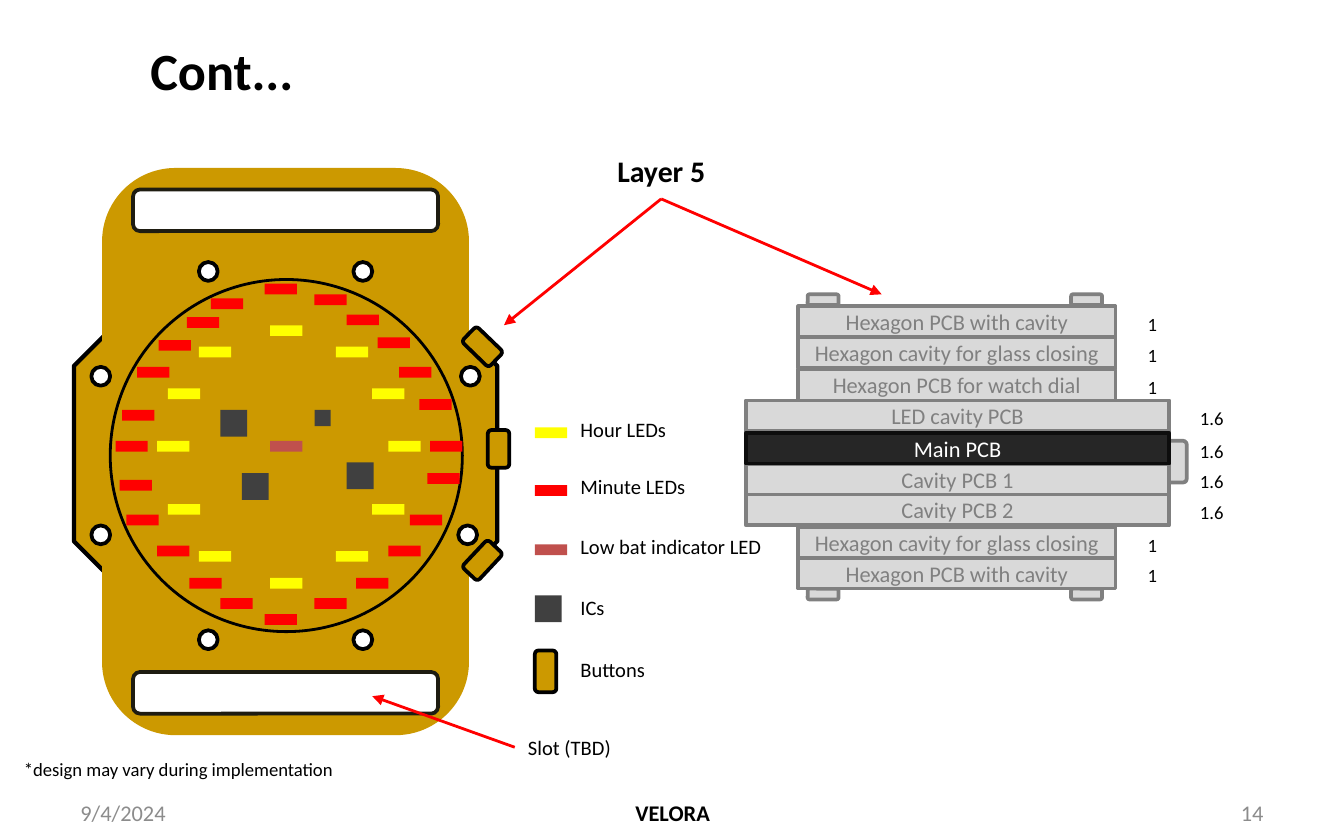
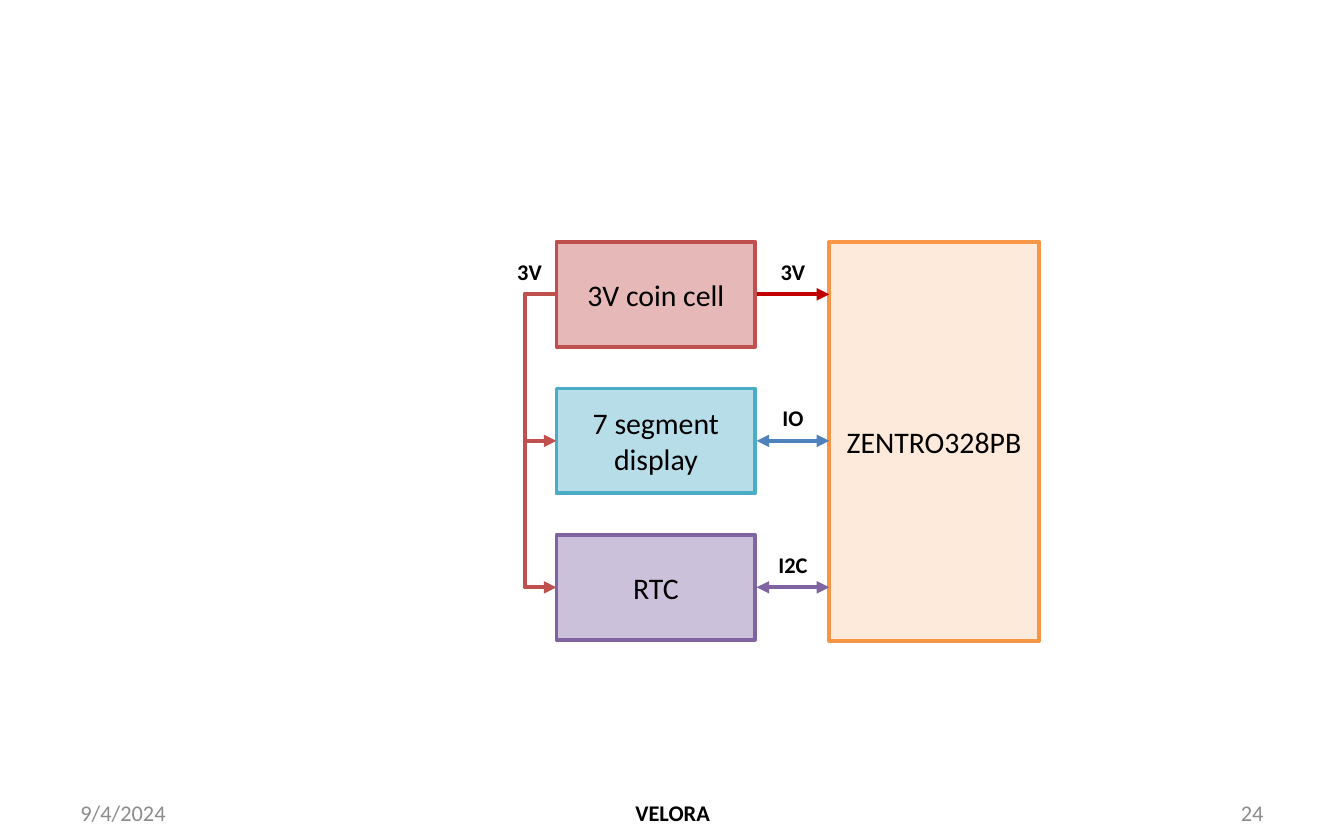
from lxml import etree
from pptx import Presentation
from pptx import util as u
from pptx.dml.color import RGBColor
from pptx.enum import shapes, text
from pptx.oxml.ns import qn

PX = 9144
FONT = "Calibri"
BLACK, WHITE, RED = "000000", "FFFFFF", "FF0000"
GOLD, YELLOW, BRICK, CHIP = "CC9900", "FFFF00", "C0504D", "404040"
PALE, GREY, MUTED, SLOT_EDGE = "D9D9D9", "808080", "8C8C8C", "1E1C11"
RECT = shapes.MSO_SHAPE.RECTANGLE
ROUND = shapes.MSO_SHAPE.ROUNDED_RECTANGLE
OVAL = shapes.MSO_SHAPE.OVAL
OCTAGON = shapes.MSO_SHAPE.OCTAGON
LEFT, CENTER, RIGHT = text.PP_ALIGN.LEFT, text.PP_ALIGN.CENTER, text.PP_ALIGN.RIGHT
TOP, MIDDLE = text.MSO_ANCHOR.TOP, text.MSO_ANCHOR.MIDDLE

MINUTE_LEDS = [
    (197, 211), (234, 219), (258, 234), (281, 251), (297, 273), (312, 297),
    (320, 328), (318, 352), (305, 383), (289, 406), (265, 430), (234, 445),
    (197, 457), (164, 445), (141, 430), (117, 406), (94, 383), (89, 357),
    (86, 328), (91, 305), (102, 273), (118, 253), (139, 236), (157, 222),
]
HOUR_LEDS = [
    (201, 242), (250, 258), (277, 289), (289, 328), (277, 375), (250, 410),
    (201, 430), (148, 410), (125, 375), (117, 328), (125, 289), (148, 258),
]
CHIPS = [(234, 305, 12), (258, 344, 20), (180, 352, 20), (164, 305, 20)]
SCREWS = [
    (263, 195), (148, 195), (68, 273), (68, 391),
    (148, 469), (263, 469), (341, 391), (343, 273),
]
BUTTONS = [(351, 244, 314), (363, 320, 0), (351, 403, 43.2)]
LAYERS = [
    ("Hexagon PCB with cavity", "1"),
    ("Hexagon cavity for glass closing", "1"),
    ("Hexagon PCB for watch dial", "1"),
    ("LED cavity PCB", "1.6"),
    ("Main PCB", "1.6"),
    ("Cavity PCB 1", "1.6"),
    ("Cavity PCB 2", "1.6"),
    ("Hexagon cavity for glass closing", "1"),
    ("Hexagon PCB with cavity", "1"),
]


def rgb(value):
    return RGBColor.from_string(value)


class Deck:
    """Holds the deck style and draws elements on the current slide."""

    def __init__(self, width, height):
        self.presentation = Presentation()
        self.presentation.slide_width = width * PX
        self.presentation.slide_height = height * PX
        self.slide = None

    def new_slide(self, number):
        layout = self.presentation.slide_layouts[6]
        self.slide = self.presentation.slides.add_slide(layout)
        self.label("9/4/2024", 50, 588, 233, 33, 12, MUTED, anchor=MIDDLE)
        self.label("VELORA", 342, 588, 317, 33, 12, bold=True, align=CENTER, anchor=MIDDLE)
        self.label(number, 717, 588, 233, 33, 12, MUTED, align=RIGHT, anchor=MIDDLE)

    def set_words(self, shape, words, size, color, bold, align, anchor):
        frame = shape.text_frame
        frame.text = words
        frame.word_wrap = True
        frame.vertical_anchor = anchor
        paragraph = frame.paragraphs[0]
        paragraph.alignment = align
        for run in paragraph.runs:
            run.font.name = FONT
            run.font.size = u.Pt(size)
            run.font.bold = bold
            run.font.color.rgb = rgb(color)

    def label(self, words, x, y, width, height, size, color=BLACK, bold=False,
              align=LEFT, anchor=TOP):
        box = self.slide.shapes.add_textbox(x * PX, y * PX, width * PX, height * PX)
        self.set_words(box, words, size, color, bold, align, anchor)

    def block(self, kind, x, y, width, height, fill, line=None, weight=2, turn=0):
        shape = self.slide.shapes.add_shape(kind, x * PX, y * PX, width * PX, height * PX)
        shape.shadow.inherit = False
        shape.rotation = turn
        shape.fill.solid()
        shape.fill.fore_color.rgb = rgb(fill)
        if line:
            shape.line.color.rgb = rgb(line)
            shape.line.width = u.Pt(weight)
        else:
            shape.line.fill.background()
        return shape

    def box(self, words, x, y, width, height, fill, line, size, color=BLACK):
        shape = self.block(RECT, x, y, width, height, fill, line)
        self.set_words(shape, words, size, color, False, CENTER, MIDDLE)

    def arrow(self, start, end, color, weight, both=False, kind=shapes.MSO_CONNECTOR.STRAIGHT):
        points = [length * PX for length in (*start, *end)]
        connector = self.slide.shapes.add_connector(kind, *points)
        connector.line.color.rgb = rgb(color)
        connector.line.width = u.Pt(weight)
        properties = connector.element.spPr
        line = properties.find(qn("a:ln"))
        for tip in ("a:headEnd", "a:tailEnd") if both else ("a:tailEnd",):
            etree.SubElement(line, qn(tip), type="triangle")
        etree.SubElement(properties, qn("a:effectLst"))
        return connector

    def side_arrow(self, x, top, bottom, reach, color, weight):
        connector = self.arrow((x + 1, top), (x, bottom), color, weight,
                               kind=shapes.MSO_CONNECTOR.ELBOW)
        geometry = connector.element.spPr.find(qn("a:prstGeom"))
        guides = geometry.find(qn("a:avLst"))
        if guides is None:
            guides = etree.SubElement(geometry, qn("a:avLst"))
        etree.SubElement(guides, qn("a:gd"), name="adj1", fmla=f"val {reach * 100000}")

    def led(self, x, y, color):
        self.block(RECT, x, y, 24, 8, color)


def draw_watch(deck):
    deck.block(OCTAGON, 55, 180, 315, 315, GOLD, BLACK, 2.25)
    body = deck.block(ROUND, 76, 125, 273, 422, GOLD)
    body.adjustments[0] = 0.2
    for y in (141, 500):
        deck.block(ROUND, 99, y, 227, 31, WHITE, SLOT_EDGE)
    deck.block(OVAL, 82, 208, 262, 262, GOLD, BLACK, 1.5)
    for leds, color in ((MINUTE_LEDS, RED), (HOUR_LEDS, YELLOW), ([(201, 328)], BRICK)):
        for x, y in leds:
            deck.led(x, y, color)
    for x, y, side in CHIPS:
        deck.block(RECT, x, y, side, side, CHIP)
    for x, y in SCREWS:
        deck.block(OVAL, x, y, 14, 14, WHITE, BLACK)
    for x, y, turn in BUTTONS:
        deck.block(ROUND, x, y, 16, 28, GOLD, BLACK, turn=turn)


def draw_legend(deck):
    entries = [("Hour LEDs", 305), ("Minute LEDs", 348), ("Low bat indicator LED", 392),
               ("ICs", 438), ("Buttons", 484)]
    for words, y in entries:
        deck.label(words, 422, y, 164, 29, 11)
    for y, color in ((318, YELLOW), (361, RED), (405, BRICK)):
        deck.led(398, y, color)
    deck.block(RECT, 398, 443, 20, 20, CHIP)
    deck.block(ROUND, 398, 484, 16, 31, GOLD, BLACK)


def draw_stack(deck):
    deck.block(ROUND, 867, 328, 16, 31, PALE, GREY)
    for y in (219, 438):
        for x in (601, 797):
            deck.block(ROUND, x, y, 23, 8, PALE, GREY)
    rows = sorted(enumerate(LAYERS), key=lambda row: row[1][0] == "Main PCB")
    for index, (name, thickness) in rows:
        y = 228 + round(23.4 * index)
        wide = thickness == "1.6"
        x, width = (555, 315) if wide else (594, 236)
        colors = ("262626", "0D0D0D", 12, WHITE) if name == "Main PCB" else (PALE, GREY, 12, GREY)
        deck.box(name, x, y, width, 23, *colors)
        deck.label(thickness, 883 if wide else 844, y, 63, 27, 10)


def draw_layer_slide(deck):
    deck.new_slide("14")
    deck.label("Cont...", 102, 13, 848, 77, 28, bold=True, anchor=MIDDLE)
    draw_watch(deck)
    draw_legend(deck)
    draw_stack(deck)
    deck.label("Layer 5", 398, 109, 188, 37, 16, bold=True, align=CENTER)
    deck.label("Slot (TBD)", 383, 542, 86, 29, 11)
    deck.label("*design may vary during implementation", 8, 559, 273, 27, 10)
    for start, end in (((383, 556), (277, 518)), ((492, 148), (656, 219)),
                       ((492, 148), (375, 242))):
        deck.arrow(start, end, RED, 1.5)


def draw_diagram_slide(deck):
    deck.new_slide("24")
    deck.box("ZENTRO328PB", 617, 180, 156, 297, "FDEADA", "F79646", 16)
    parts = [
        ("3V coin cell", "E6B9B8", BRICK, "3V", "C00000"),
        ("7 segment display", "B7DEE8", "4BACC6", "IO", "4F81BD"),
        ("RTC", "CCC1DA", "8064A2", "I2C", "8064A2"),
    ]
    supply = 219
    for index, (name, fill, line, signal, color) in enumerate(parts):
        shift = 109 * index
        middle = supply + shift
        deck.box(name, 414, 180 + shift, 148, 78, fill, line, 16)
        deck.arrow((563, middle), (617, middle), color, 2.25, both=index > 0)
        deck.label(signal, 555, 187 + shift, 70, 30, 12, bold=True, align=CENTER)
        if index:
            deck.side_arrow(414, supply, middle, 25, BRICK, 2.25)
    deck.label("3V", 359, 187, 70, 30, 12, bold=True, align=CENTER)


def main():
    deck = Deck(1000, 625)
    draw_layer_slide(deck)
    draw_diagram_slide(deck)
    deck.presentation.save("out.pptx")


if __name__ == "__main__":
    main()
